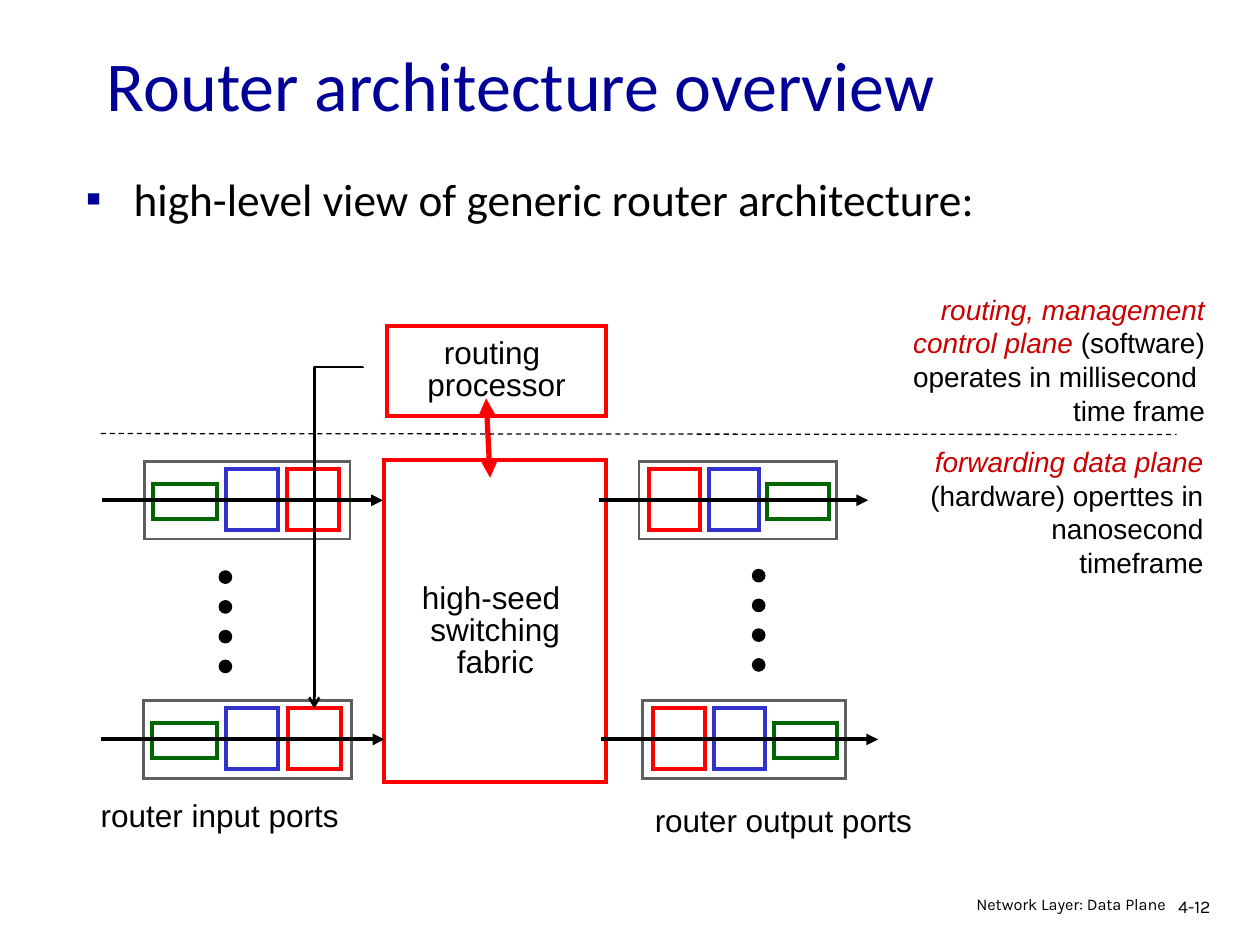
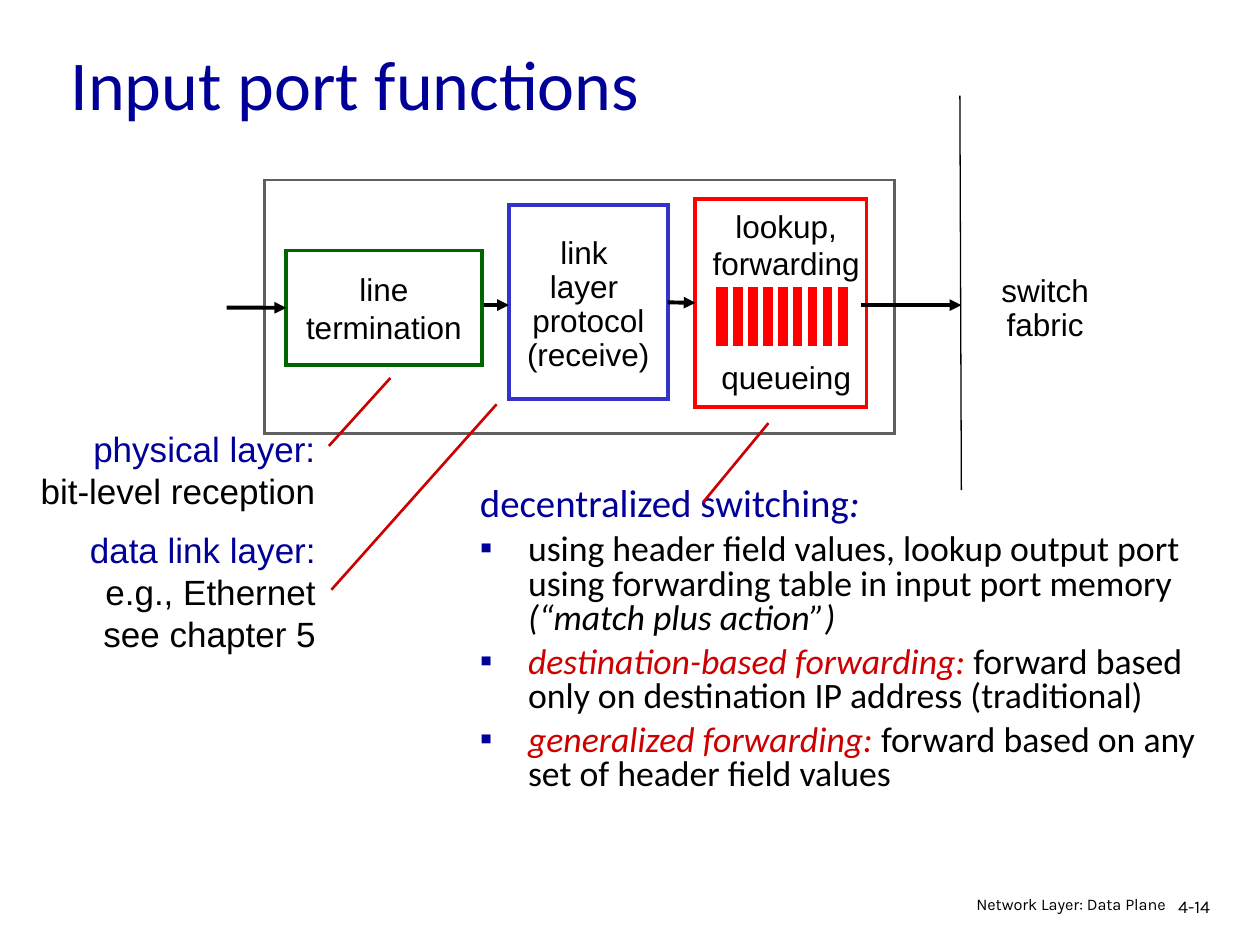
from lxml.etree import SubElement
from pptx import Presentation
from pptx.dml.color import RGBColor
from pptx.enum.dml import MSO_LINE_DASH_STYLE as Dash
from pptx.enum.shapes import MSO_CONNECTOR as Link, MSO_SHAPE as Kind
from pptx.enum.text import MSO_ANCHOR as Anchor, MSO_AUTO_SIZE as Fit, PP_ALIGN as Align
from pptx.oxml.ns import qn
from pptx.util import Cm, Pt

HUES = {
    "black": "000000", "white": "FFFFFF", "navy": "000099", "blue": "3333CC",
    "green": "006600", "red": "FF0000", "brick": "CC0000", "gray": "5F5F5F",
}
BODY = {"face": "Calibri", "alignment": Align.LEFT}
LEFT = {"alignment": Align.LEFT}
RIGHT = {"alignment": Align.RIGHT}
CENTER = {"alignment": Align.CENTER}
INDENT = Cm(0.97)

# Port parts as x, y, width, height and colour, for a port PORT_W wide
PORT_W, PORT_H = 4.14, 1.57
PARTS = [
    (0.16, 0.46, 1.3, 0.71, "green"),
    (1.63, 0.16, 1.05, 1.22, "blue"),
    (2.87, 0.16, 1.05, 1.22, "red"),
]


def rgb(hue):
    return RGBColor.from_string(HUES[hue])


def apply(item, looks):
    for name, value in looks.items():
        setattr(item, name, value)


def write(frame, paras, size, face="Arial", **looks):
    """Append paragraphs; each is a string or a list of (text, hue, italic)."""
    for para in paras:
        first = frame.paragraphs[0]
        line = frame.add_paragraph() if first.runs else first
        apply(line, looks)
        runs = [(para, "black", False)] if isinstance(para, str) else para
        for text, hue, slant in runs:
            run = line.add_run()
            run.text = text
            apply(run.font, {"size": Pt(size), "name": face, "italic": slant})
            run.font.color.rgb = rgb(hue)


def place(shape, at):
    apply(shape, dict(zip(("left", "top", "width", "height"), map(Cm, at))))


def start(deck, title, left, top):
    """Add a slide with its title and return it with its body placeholder."""
    slide = deck.slides.add_slide(deck.slide_layouts[1])
    head, body = slide.placeholders
    place(head, (left, top, 21.59, 1.7))
    apply(head.text_frame, {"auto_size": Fit.NONE, "vertical_anchor": Anchor.MIDDLE})
    write(head.text_frame, [[(title, "navy", False)]], 40, **BODY)
    body.text_frame.auto_size = Fit.NONE
    return slide, body


def bullet(para):
    props = para._p.get_or_add_pPr()
    props.set("marL", str(INDENT))
    props.set("indent", str(-INDENT))
    tint = SubElement(props, qn("a:buClr"))
    SubElement(tint, qn("a:srgbClr"), val=HUES["navy"])
    SubElement(props, qn("a:buChar"), char="▪")


def plain(para):
    """Take the bullet and the indent off a paragraph."""
    props = para._p.get_or_add_pPr()
    props.set("marL", "0")
    props.set("indent", "0")
    SubElement(props, qn("a:buNone"))


def label(slide, at, paras, size=18, wrap=False, anchor=Anchor.TOP, **looks):
    box = slide.shapes.add_textbox(*map(Cm, at))
    apply(box.text_frame, {"word_wrap": wrap, "vertical_anchor": anchor})
    write(box.text_frame, paras, size, **looks)


def shape(slide, at, hue, fill="white", width=2.25, kind=Kind.RECTANGLE):
    item = slide.shapes.add_shape(kind, *map(Cm, at))
    item.shadow.inherit = False
    item.fill.solid()
    item.fill.fore_color.rgb = rgb(fill)
    item.line.color.rgb = rgb(hue)
    item.line.width = Pt(width)
    SubElement(item._element.spPr.find(qn("a:ln")), qn("a:miter"), lim="800000")
    return item


def block(slide, at, hue, paras, space=1.0, top=0.13):
    """Add an outlined rectangle with centred text."""
    item = shape(slide, at, hue)
    apply(item.text_frame, {
        "word_wrap": False, "vertical_anchor": Anchor.MIDDLE, "margin_top": Cm(top)})
    write(item.text_frame, paras, 18, line_spacing=space, **CENTER)
    return item


def wire(slide, ends, hue="black", width=2.25, head=None, tail=None,
         dash=None, kind=Link.STRAIGHT):
    line = slide.shapes.add_connector(kind, *map(Cm, ends))
    line.line.color.rgb = rgb(hue)
    line.line.width = Pt(width)
    if dash:
        line.line.dash_style = dash
    props = line._element.spPr
    stroke = props.find(qn("a:ln"))
    for tag, tip in (("a:headEnd", head), ("a:tailEnd", tail)):
        if tip:
            SubElement(stroke, qn(tag), type=tip)
    SubElement(props, qn("a:effectLst"))
    return line


def arrow(slide, ends, source=None, target=None):
    """Draw an arrow, joined to the right of source and the left of target."""
    line = wire(slide, ends, tail="triangle")
    if source:
        line.begin_connect(source, 3)
    if target:
        line.end_connect(target, 1)


def elbow(slide, ends):
    """Draw a bent arrow, turned by 90 degrees, with its bend at the start."""
    line = wire(slide, ends, width=1.5, tail="arrow", kind=Link.ELBOW)
    props = line._element.spPr
    props.find(qn("a:xfrm")).set("rot", "5400000")
    guides = props.find(qn("a:prstGeom")).find(qn("a:avLst"))
    SubElement(guides, qn("a:gd"), name="adj1", fmla="val -100")


def port(slide, left, top, wide, begin, end, flip=False):
    """Draw a port with its three parts; flip mirrors it for output."""
    shape(slide, (left, top, wide, PORT_H), "gray", width=1.5)
    scale = wide / PORT_W
    for x, y, w, h, hue in PARTS:
        if flip:
            x = PORT_W - x - w
        shape(slide, (left + x * scale, top + y, w * scale, h), hue)
    mid = top + PORT_H / 2
    arrow(slide, (begin, mid, end, mid))


def dots(slide, left, top):
    for num in range(4):
        shape(slide, (left, top + 0.6 * num, 0.25, 0.25), "black", "black", 0.75, Kind.OVAL)


def queue(slide, left, top):
    shape(slide, (left, top, 2.77, 1.3), "white", "red", 3)
    for num in range(8):
        x = left + 0.35 + 0.3 * num
        wire(slide, (x, top, x, top + 1.25), "white", 3)


def foot(slide, number):
    label(slide, (23.5, 17.98, 1.55, 0.76), [number], 10.2, True,
          face="Karla", line_spacing=0.9, **LEFT)
    label(slide, (17.7, 17.98, 6.05, 0.66), ["Network Layer: Data Plane"], 9.3, True,
          face="Karla", line_spacing=0.8, **RIGHT)


def router(deck):
    slide, body = start(deck, "Router architecture overview", 1.9, 0.84)
    place(body, (1.47, 3.58, 21.59, 1.63))
    write(body.text_frame, ["high-level view of generic router architecture:"], 25.9,
          line_spacing=0.75, space_before=Pt(7), **BODY)
    bullet(body.text_frame.paragraphs[0])

    block(slide, (7.75, 9.27, 4.47, 6.5), "red",
          ["high-seed ", "switching", "fabric"], 0.85, top=0.56)
    block(slide, (7.8, 6.58, 4.42, 1.8), "red", ["routing ", "processor"], 0.85)
    wire(slide, (9.8, 8.03, 9.88, 9.63), "red", 3, "triangle", "triangle")

    port(slide, 2.92, 9.3, 4.14, 2.06, 7.72)
    port(slide, 2.9, 14.12, 4.19, 2.03, 7.75)
    port(slide, 12.88, 9.3, 3.99, 12.07, 17.5, flip=True)
    port(slide, 12.95, 14.12, 4.09, 12.12, 17.7, flip=True)
    dots(slide, 4.42, 11.51)
    dots(slide, 15.17, 11.48)
    label(slide, (1.78, 15.93, 5.5, 1.02), ["router input ports"], **LEFT)
    label(slide, (12.95, 16.03, 6, 1.02), ["router output ports"], **LEFT)

    wire(slide, (2.03, 8.74, 23.72, 8.76), width=0.75, dash=Dash.DASH)
    label(slide, (18.44, 8.84, 6.07, 2.97), [
        [("forwarding data plane ", "brick", True),
         ("(hardware) operttes in nanosecond timeframe", "black", False)],
    ], 16, True, **RIGHT)
    label(slide, (16.54, 5.77, 8, 2.97), [
        [("routing, management", "brick", True)],
        [("control plane ", "brick", True), ("(software)", "black", False)],
        "operates in millisecond ",
        "time frame",
    ], 16, True, **RIGHT)
    elbow(slide, (3.38, 10.36, 10.26, 11.33))
    foot(slide, "4-12")


def inputs(deck):
    slide, body = start(deck, "Input port functions", 1.17, 0.81)
    place(body, (9.42, 9.7, 15.16, 7.42))
    text = body.text_frame
    write(text, [[("decentralized switching", "navy", False), (":", "navy", True)]], 22.2,
          line_spacing=0.8, space_before=Pt(6), **BODY)
    write(text, [
        [("using header field values, lookup output port using forwarding table "
          "in input port memory ", "black", False),
         ("(“match plus action”)", "black", True)],
        [("destination-based forwarding: ", "brick", True),
         ("forward based only on destination IP address (traditional)", "black", False)],
        [("generalized forwarding: ", "brick", True),
         ("forward based on any set of header field values", "black", False)],
    ], 20.4, line_spacing=0.8, space_before=Pt(5.5), **BODY)
    plain(text.paragraphs[0])
    for para in text.paragraphs[1:]:
        bullet(para)

    shape(slide, (5.33, 3.63, 12.7, 5.11), "gray", width=1.5)
    term = block(slide, (5.77, 5.05, 3.94, 2.31), "green", ["line", "termination"])
    link = block(slide, (10.26, 4.14, 3.2, 3.91), "blue",
                 ["link ", "layer ", "protocol", "(receive)"], 0.9, top=0.25)
    look = shape(slide, (14.02, 4.01, 3.45, 4.19), "red")
    label(slide, (13.6, 4.04, 4.5, 1.78), ["lookup,", "forwarding"], **CENTER)
    label(slide, (13.6, 7.09, 4.5, 1.02), ["queueing"], **CENTER)
    queue(slide, 14.38, 5.74)
    arrow(slide, (4.57, 6.2, 5.77, 6.2), target=term)
    arrow(slide, (9.75, 6.15, 10.26, 6.15))
    arrow(slide, (13.46, 6.1, 14.02, 6.1), link, look)
    arrow(slide, (17.35, 6.15, 19.38, 6.15))

    wire(slide, (19.35, 1.93, 19.38, 9.88), width=0.75)
    label(slide, (19.61, 5.08, 2.92, 2.31), ["switch", "fabric"],
          anchor=Anchor.MIDDLE, line_spacing=0.9, **CENTER)
    label(slide, (0.31, 8.5, 6.3, 1.96),
          [[("physical layer:", "navy", False)], "bit-level reception"], 20, **RIGHT)
    label(slide, (0.62, 10.52, 6, 2.79),
          [[("data link layer:", "navy", False)], "e.g., Ethernet", "see chapter 5"],
          20, **RIGHT)
    for ends in ((6.63, 8.99, 7.87, 7.62), (6.68, 11.89, 10.01, 8.15),
                 (14.17, 10.13, 15.49, 8.53)):
        wire(slide, ends, "brick", 1.5)
    foot(slide, "4-14")


def main():
    deck = Presentation()
    deck.slide_width, deck.slide_height = Cm(25.4), Cm(19.05)
    router(deck)
    inputs(deck)
    deck.save("out.pptx")


if __name__ == "__main__":
    main()
